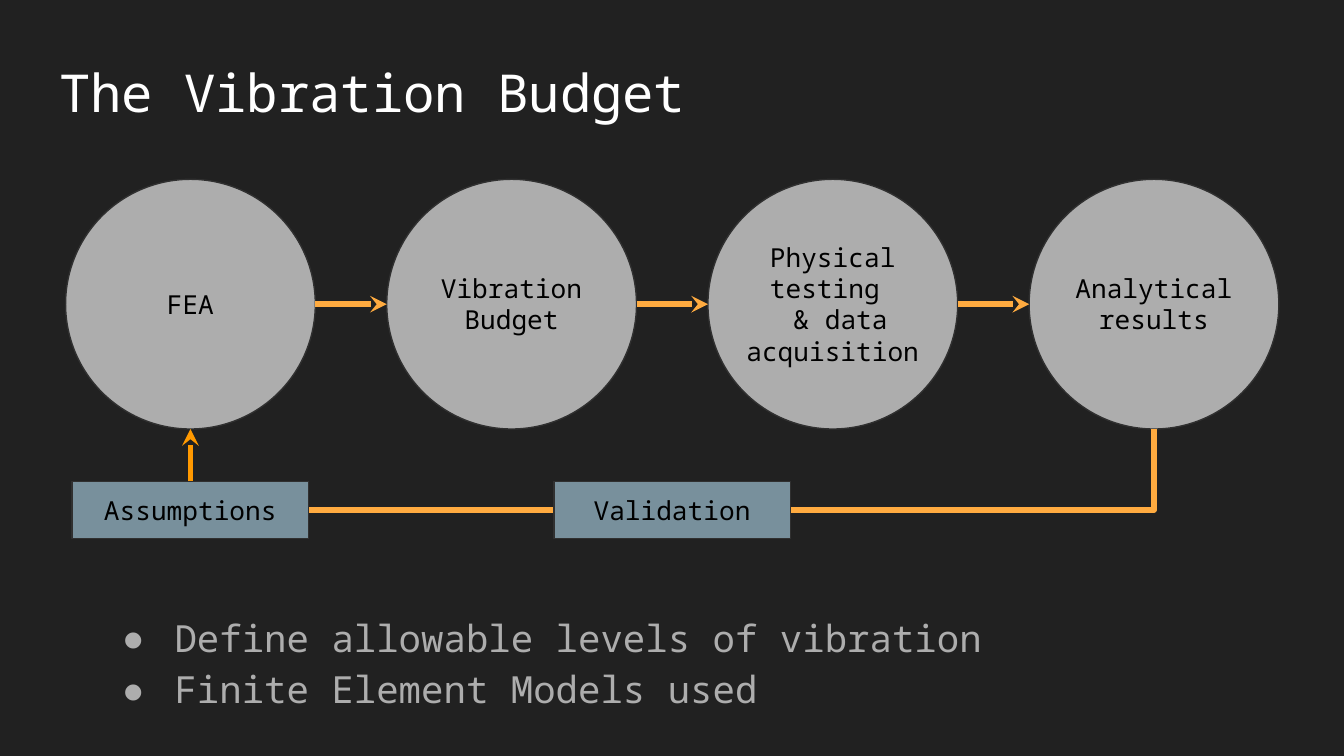
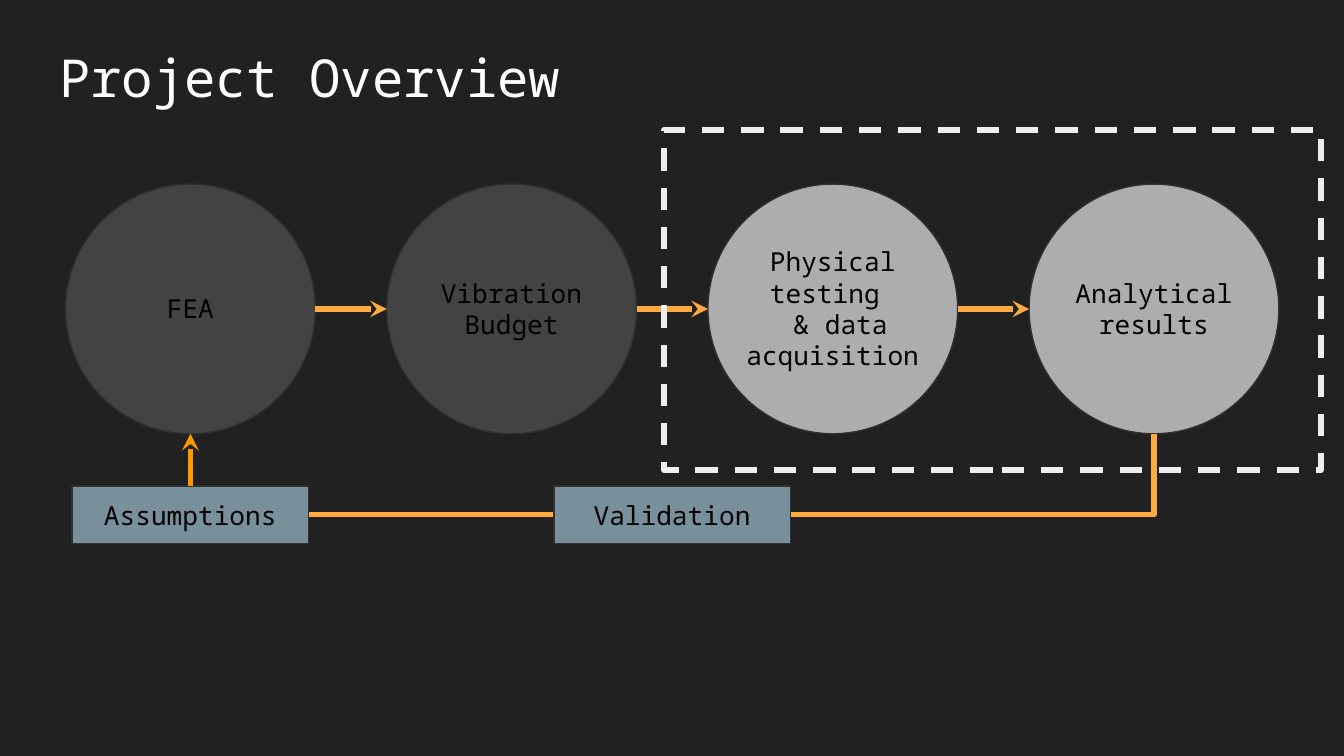
from lxml.etree import SubElement
from pptx import Presentation
from pptx.dml.color import RGBColor
from pptx.enum.dml import MSO_LINE
from pptx.enum.shapes import MSO_CONNECTOR, MSO_SHAPE
from pptx.enum.text import MSO_ANCHOR, PP_ALIGN
from pptx.oxml.ns import qn
from pptx.util import Cm, Pt

FONT = "Noto Sans Mono"
COLORS = {
    "background": "212121", "title": "FFFFFF", "bullet": "ADADAD",
    "stage": "ADADAD", "faded": "434343", "outline": "303030",
    "label": "000000", "box": "78909C", "arrow": "FFAB40",
    "feedback": "FF9900", "frame": "EEEEEE",
}
WIDTH, HEIGHT = 25.4, 14.29
STAGES = ["FEA", "Vibration Budget", "Physical testing \n & data acquisition",
          "Analytical results"]
FLOW_X, DIAMETER, STEP = 1.24, 4.72, 6.07
BOX_W, BOX_H, BOX_GAP = 4.47, 1.08, 0.99


def rgb(name):
    return RGBColor.from_string(COLORS[name])


def cm(*values):
    return [Cm(v) for v in values]


def write(shape, text, size=14, color="label", align=PP_ALIGN.CENTER,
          anchor=MSO_ANCHOR.MIDDLE, spacing=None, bullet=None):
    """Fill a shape with text, one paragraph per line."""
    tf = shape.text_frame
    tf.word_wrap = True
    tf.vertical_anchor = anchor
    tf.margin_left = tf.margin_right = tf.margin_top = tf.margin_bottom = Cm(0.25)
    for i, line in enumerate(text.split("\n")):
        p = tf.paragraphs[0] if i == 0 else tf.add_paragraph()
        if bullet:
            add_bullet(p, bullet, color)
        p.alignment = align
        if spacing:
            p.line_spacing = spacing
        r = p.add_run()
        r.text = line
        r.font.name, r.font.size = FONT, Pt(size)
        r.font.color.rgb = rgb(color)


def add_bullet(p, char, color):
    pPr = p._p.get_or_add_pPr()
    pPr.set("marL", str(Cm(1.27)))
    pPr.set("indent", str(Cm(-0.99)))
    SubElement(SubElement(pPr, qn("a:buClr")), qn("a:srgbClr"), val=COLORS[color])
    SubElement(pPr, qn("a:buFont"), typeface=FONT)
    SubElement(pPr, qn("a:buChar"), char=char)


def add_text(s, x, y, w, h, text, **fmt):
    write(s.shapes.add_textbox(*cm(x, y, w, h)), text, **fmt)


def add_block(s, kind, x, y, w, h, fill=None, line="outline", width=0.75):
    sp = s.shapes.add_shape(kind, *cm(x, y, w, h))
    sp.shadow.inherit = False
    if fill:
        sp.fill.solid()
        sp.fill.fore_color.rgb = rgb(fill)
    else:
        sp.fill.background()
    sp.line.color.rgb = rgb(line)
    sp.line.width = Pt(width)
    return sp


def add_line(s, x1, y1, x2, y2, kind=MSO_CONNECTOR.STRAIGHT, color="arrow", head=True):
    c = s.shapes.add_connector(kind, *cm(x1, y1, x2, y2))
    c.line.color.rgb = rgb(color)
    c.line.width = Pt(3)
    if head:
        SubElement(c.line._get_or_add_ln(), qn("a:tailEnd"), type="stealth")
    SubElement(c._element.spPr, qn("a:effectLst"))
    return c


def add_stage(s, x, y, text, fill):
    """Draw a circle with a label wider than its own text area."""
    add_block(s, MSO_SHAPE.OVAL, x, y, DIAMETER, DIAMETER, fill)
    w, h = 4.17, 2.56
    add_text(s, x + (DIAMETER - w) / 2, y + (DIAMETER - h) / 2 - 0.01, w, h, text)


def add_box(s, center, y, text):
    sp = add_block(s, MSO_SHAPE.RECTANGLE, center - BOX_W / 2, y, BOX_W, BOX_H, "box")
    write(sp, text)
    return sp


def add_flow(s, x, y, faded=0):
    """Draw the stages and the feedback loop; the first `faded` stages are dimmed."""
    for i, text in enumerate(STAGES):
        add_stage(s, x + i * STEP, y, text, "faded" if i < faded else "stage")
    middle = y + DIAMETER / 2
    for i in range(1, len(STAGES)):
        end = x + i * STEP
        add_line(s, end - STEP + DIAMETER, middle, end, middle)

    bottom = y + DIAMETER
    box_y = bottom + BOX_GAP
    first = x + DIAMETER / 2
    last = first + (len(STAGES) - 1) * STEP
    loop = add_line(s, first + BOX_W / 2, box_y + BOX_H / 2, last, bottom,
                    kind=MSO_CONNECTOR.ELBOW, head=False)
    loop._element.spPr.find(qn("a:prstGeom")).set("prst", "bentConnector2")

    assumptions = add_box(s, first, box_y, "Assumptions")
    add_box(s, (first + last) / 2, box_y, "Validation")
    up = add_line(s, first, box_y, first, bottom, color="feedback")
    up.begin_connect(assumptions, 0)


def add_frame(s, x, y, w, h):
    sp = add_block(s, MSO_SHAPE.RECTANGLE, x, y, w, h, line="frame", width=3)
    sp.line.dash_style = MSO_LINE.DASH


def new_slide(prs, title, y, spacing=None):
    s = prs.slides.add_slide(prs.slide_layouts[6])
    s.background.fill.solid()
    s.background.fill.fore_color.rgb = rgb("background")
    add_text(s, 0.87, y, 23.67, 1.6, title, size=28, color="title",
             align=PP_ALIGN.LEFT, anchor=MSO_ANCHOR.TOP, spacing=spacing)
    return s


def budget_slide(prs):
    s = new_slide(prs, "The Vibration Budget", 0.71, spacing=1.15)
    add_text(s, 1.78, 11.25, 21.82, 2.49,
             "Define allowable levels of vibration\nFinite Element Models used",
             size=20, color="bullet", align=PP_ALIGN.LEFT, anchor=MSO_ANCHOR.TOP,
             spacing=1.15, bullet="●")
    add_flow(s, FLOW_X, 3.39)


def overview_slide(prs):
    s = new_slide(prs, "Project Overview", 0.61)
    add_flow(s, FLOW_X, 3.48, faded=2)
    add_frame(s, 12.55, 2.46, 12.42, 6.43)


def main():
    prs = Presentation()
    prs.slide_width, prs.slide_height = cm(WIDTH, HEIGHT)
    budget_slide(prs)
    overview_slide(prs)
    prs.save("out.pptx")


if __name__ == "__main__":
    main()
